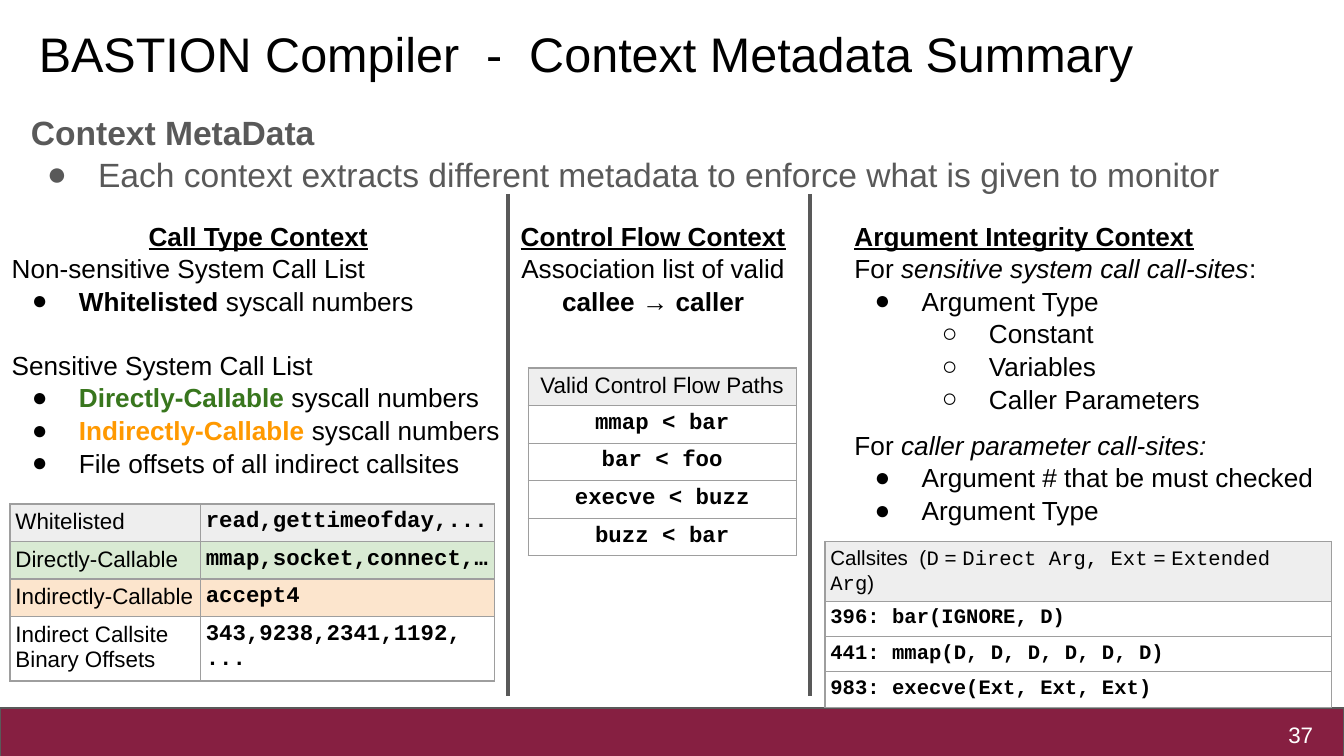
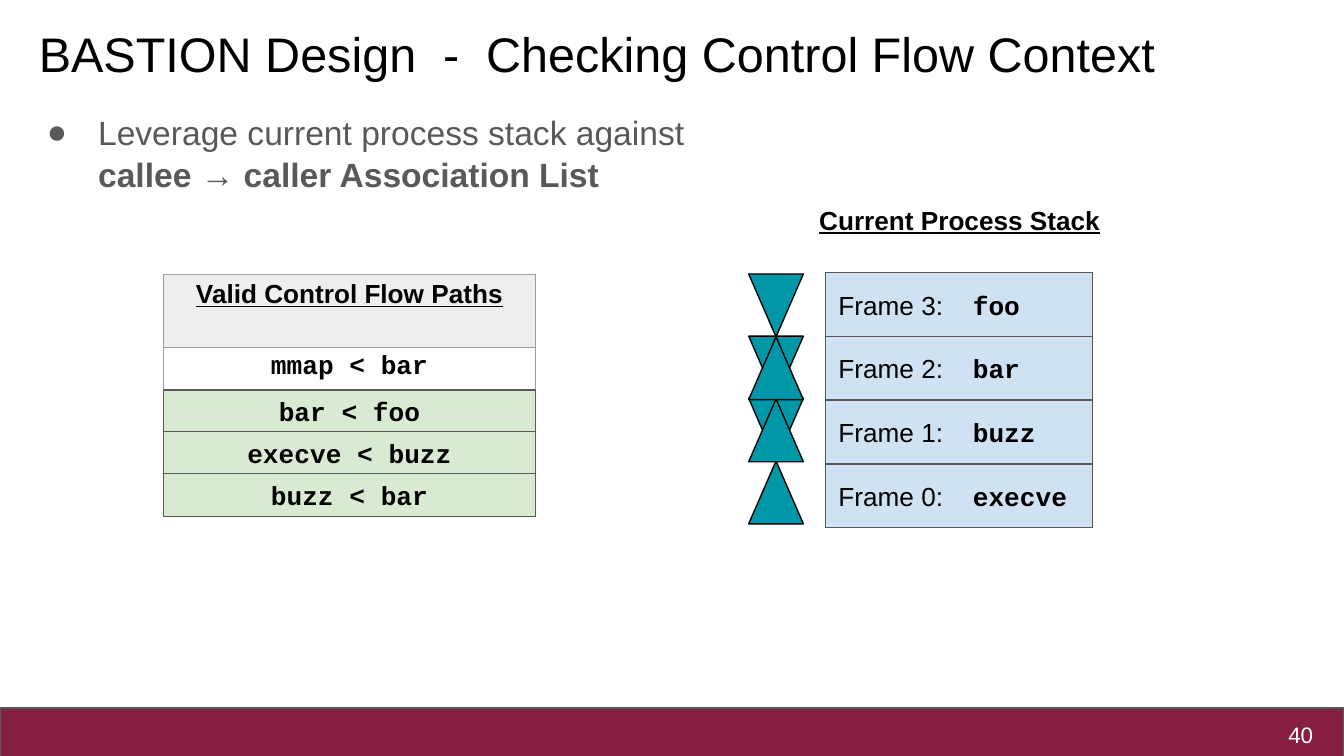
from collections import namedtuple
from lxml.etree import SubElement, fromstring
from pptx import Presentation
from pptx.dml.color import RGBColor
from pptx.enum.shapes import MSO_CONNECTOR, MSO_SHAPE
from pptx.enum.text import MSO_ANCHOR, PP_ALIGN
from pptx.oxml.ns import nsdecls, qn
from pptx.util import Pt

BLACK = RGBColor(0x00, 0x00, 0x00)
WHITE = RGBColor(0xFF, 0xFF, 0xFF)
GRAY = RGBColor(0x59, 0x59, 0x59)
RULE = RGBColor(0x9E, 0x9E, 0x9E)
HEAD = RGBColor(0xEE, 0xEE, 0xEE)
MAROON = RGBColor(0x86, 0x1F, 0x41)
GREEN = RGBColor(0x38, 0x76, 0x1D)
ORANGE = RGBColor(0xFF, 0x99, 0x00)
MINT = RGBColor(0xD9, 0xEA, 0xD3)
PEACH = RGBColor(0xFC, 0xE5, 0xCD)
SKY = RGBColor(0xCF, 0xE2, 0xF3)
TEAL = RGBColor(0x00, 0x97, 0xA7)
SANS, MONO = "Arial", "Courier New"
LEFT, MID, RIGHT = PP_ALIGN.LEFT, PP_ALIGN.CENTER, PP_ALIGN.RIGHT
PAD = (7.2,) * 4
TIGHT = (2.85,) * 4
PATHS = ("mmap < bar", "bar < foo", "execve < buzz", "buzz < bar")

Run = namedtuple("Run", "text marks color", defaults=("", None))
Line = namedtuple("Line", "runs align dot left hang gap", defaults=(LEFT, None, 0, 0, 0))


def line(text, marks="", align=LEFT, **rest):
    """Make a line of one style; marks are b, i, u and m for mono."""
    return Line([Run(text, marks)], align, **rest)


def item(*runs, dot="●", left=36, hang=25.2):
    """Make a bulleted line."""
    return Line(runs, dot=dot, left=left, hang=hang)


def style(font, marks):
    """Apply style marks to a font."""
    if "b" in marks:
        font.bold = True
    if "i" in marks:
        font.italic = True
    if "u" in marks:
        font.underline = True
    if "m" in marks:
        font.name = MONO


def bullet(props, row, color):
    """Write indent and bullet to paragraph properties."""
    props.set("marL", str(Pt(row.left)))
    props.set("indent", str(-Pt(row.hang)))
    if row.dot:
        tint = SubElement(props, qn("a:buClr"))
        SubElement(tint, qn("a:srgbClr")).set("val", str(color))
        SubElement(props, qn("a:buFont")).set("typeface", SANS)
        SubElement(props, qn("a:buChar")).set("char", row.dot)


def write(frame, rows, size, color=BLACK, pad=PAD, pitch=None, anchor=MSO_ANCHOR.TOP):
    """Fill a text frame with lines."""
    frame.word_wrap = True
    frame.vertical_anchor = anchor
    frame.margin_left, frame.margin_top, frame.margin_right, frame.margin_bottom = map(Pt, pad)
    for n, row in enumerate(rows):
        para = frame.paragraphs[0] if n == 0 else frame.add_paragraph()
        para.alignment = row.align
        if pitch:
            para.line_spacing = pitch
        if row.gap:
            para.space_before = Pt(row.gap)
        if row.left:
            bullet(para._p.get_or_add_pPr(), row, color)
        para.font.name, para.font.size = SANS, Pt(size)
        para.font.color.rgb = color
        same = len({run.marks for run in row.runs}) == 1
        if same:
            style(para.font, row.runs[0].marks)
        for run in row.runs:
            part = para.add_run()
            part.text = run.text
            if not same:
                style(part.font, run.marks)
            if run.color is not None:
                part.font.color.rgb = run.color


def label(slide, box, rows, size, **rest):
    """Add a text box."""
    write(slide.shapes.add_textbox(*map(Pt, box)).text_frame, rows, size, **rest)


def block(slide, box, fill, edge=GRAY, kind=MSO_SHAPE.RECTANGLE, rows=()):
    """Add an outlined shape with optional text."""
    shape = slide.shapes.add_shape(kind, *map(Pt, box))
    shape.shadow.inherit = False
    shape.fill.solid()
    shape.fill.fore_color.rgb = fill
    shape.line.color.rgb = edge
    shape.line.width = Pt(0.75)
    if rows:
        write(shape.text_frame, rows, 14, anchor=MSO_ANCHOR.MIDDLE)


def border(cell):
    """Draw a thin rule on all four sides of a cell."""
    props = cell._tc.get_or_add_tcPr()
    for n, side in enumerate("LRTB"):
        props.insert(n, fromstring(
            f'<a:ln{side} {nsdecls("a")} w="{Pt(0.75)}"><a:solidFill>'
            f'<a:srgbClr val="{RULE}"/></a:solidFill></a:ln{side}>'))


def grid(slide, spot, wide, tall, data, size):
    """Add a table; each data row is a fill and the lines of its cells."""
    table = slide.shapes.add_table(
        len(tall), len(wide), *map(Pt, (*spot, sum(wide), sum(tall)))).table
    table.first_row = table.horz_banding = False
    for col, width in zip(table.columns, wide):
        col.width = Pt(width)
    for row, high, (fill, cells) in zip(table.rows, tall, data):
        row.height = Pt(high)
        for cell, rows in zip(row.cells, cells):
            if fill is None:
                cell.fill.background()
            else:
                cell.fill.solid()
                cell.fill.fore_color.rgb = fill
            border(cell)
            write(cell.text_frame, rows, size, pad=TIGHT)
            cell.margin_left, cell.margin_top, cell.margin_right, cell.margin_bottom = map(Pt, TIGHT)


def paths(slide, spot, width, tall, size, marks=""):
    """Add the table of valid control flow paths."""
    data = [(HEAD, [[line("Valid Control Flow Paths", marks, MID)]])]
    data += [(None, [[line(text, "bm", MID)]]) for text in PATHS]
    grid(slide, spot, [width], tall, data, size)


def base(deck, title, page, body):
    """Add a slide with title, lead text, footer band and page number."""
    slide = deck.slides.add_slide(deck.slide_layouts[6])
    block(slide, (0, 379.4, 720, 26.6), MAROON)
    label(slide, (13.7, 5.8, 619, 45.4), [line(title)], 26)
    label(slide, (13.7, 56.9, 657.4, 53), body, 18, color=GRAY,
          pad=(2.9, 2.2, 2.2, 2.2), pitch=1.04)
    label(slide, (667.4, 380.2, 43.2, 26.6), [line(page, align=RIGHT)], 12,
          color=WHITE, anchor=MSO_ANCHOR.MIDDLE)
    return slide


def calls(slide, box):
    """Place the call type column."""
    x, y, w, h = box
    numbers = Run(" syscall numbers")
    label(slide, (x, y, w, 154), [
        line("Call Type Context", "bu", MID),
        line("Non-sensitive System Call List"),
        item(Run("Whitelisted", "b"), numbers),
        line("Sensitive System Call List", gap=16.8),
        item(Run("Directly-Callable", "b", GREEN), numbers),
        item(Run("Indirectly-Callable", "b", ORANGE), numbers),
        item(Run("File offsets of all indirect callsites")),
    ], 14, pad=(0, 7.2, 0, 7.2), pitch=1.04)
    data = [
        (HEAD, "Whitelisted", ["read,gettimeofday,..."]),
        (MINT, "Directly-Callable", ["mmap,socket,connect,…"]),
        (PEACH, "Indirectly-Callable", ["accept4"]),
        (WHITE, "Indirect Callsite Binary Offsets", ["343,9238,2341,1192,", "..."]),
    ]
    grid(slide, (x - 0.9, y + 160), (102, 157.7), [20.1] * 4,
         [(fill, [[line(name)], [line(text, "bm") for text in texts]])
          for fill, name, texts in data], 12)


def flow(slide, box):
    """Place the control flow column."""
    x, y, w, h = box
    label(slide, (x, y, w, 60.5), [
        line("Control Flow Context", "bu", MID),
        line("Association list of valid", align=MID),
        Line([Run("callee ", "b"), Run("→"), Run(" caller", "b")], MID),
    ], 14, pitch=1.04)
    paths(slide, (x + 12.3, y + 87.2), 143.5, [19] + [20.1] * 4, 12)


def args(slide, box):
    """Place the argument integrity column."""
    x, y, w, h = box
    kinds = ("Constant", "Variables", "Caller Parameters")
    label(slide, (x, y, w, 178), [
        line("Argument Integrity Context", "bu"),
        Line([Run("For "), Run("sensitive system call call-sites", "i"), Run(":")]),
        item(Run("Argument Type")),
        *[item(Run(kind), dot="○", left=72) for kind in kinds],
        Line([Run("For "), Run("caller parameter call-sites:", "i")], gap=7.3),
        item(Run("Argument # that be must checked")),
        item(Run("Argument Type")),
    ], 14, pitch=1.04)
    head = Line([Run("Callsites  ("), Run("D", "m"), Run(" = "), Run("Direct Arg, Ext", "m"),
                 Run(" = "), Run("Extended Arg", "m"), Run(")")])
    sites = ("396: bar(IGNORE, D)", "441: mmap(D, D, D, D, D, D)", "983: execve(Ext, Ext, Ext)")
    grid(slide, (x - 8.7, y + 180), [271.4], (16, 15, 15, 15),
         [(HEAD, [[head]])] + [(None, [[line(site, "bm")]]) for site in sites], 11)


def split(slide, x, top, end):
    """Draw an upright divider."""
    rule = slide.shapes.add_connector(MSO_CONNECTOR.STRAIGHT, Pt(x), Pt(top), Pt(x), Pt(end))
    rule.line.color.rgb = GRAY
    rule.line.width = Pt(2.25)
    SubElement(rule._element.spPr, qn("a:effectLst"))


def checks(slide, box):
    """Place the path table with its matched rows marked."""
    x, y, w, h = box
    paths(slide, (x, y), w, [39.3] + [22.4] * 4, 14, "bu")
    for n, text in enumerate(PATHS[1:]):
        block(slide, (x, y + 61.9 + 22.4 * n, w, 22.9), MINT, rows=[line(text, "bm", MID)])


def stack(slide, box):
    """Place the stack label, its frames and the scan marks."""
    x, y, w, h = box
    label(slide, (x - 19.4, y - 44, 182.9, 23), [line("Current Process Stack", "bu", MID)], 14)
    for n in reversed(range(3)):
        block(slide, (x - 41, y + 0.7 + 33.3 * n, 29.3, 67.3), TEAL, BLACK,
              MSO_SHAPE.FLOWCHART_COLLATE)
    step = h / 4
    for n, name in enumerate(("execve", "buzz", "bar", "foo")):
        block(slide, (x, y + step * (3 - n), w, step), SKY,
              rows=[Line([Run(f"Frame {n}:\t"), Run(name, "bm")])])


def main():
    """Build the deck."""
    deck = Presentation()
    deck.slide_width, deck.slide_height = Pt(720), Pt(405)
    slide = base(deck, "BASTION Compiler  -  Context Metadata Summary", "37", [
        line("Context MetaData", "b"),
        item(Run("Each context extracts different metadata to enforce what is given to monitor"),
             hang=27.4)])
    calls(slide, (6.3, 110, 264.2, 254))
    flow(slide, (270.7, 110, 158.4, 188))
    args(slide, (450.7, 110, 264.2, 268))
    for x in (272, 434):
        split(slide, x, 103.9, 372.8)
    slide = base(deck, "BASTION Design  -  Checking Control Flow Context", "40", [
        item(Run("Leverage current process stack against"), hang=27.4),
        line("callee → caller Association List", "b", left=36)])
    checks(slide, (87.6, 147, 199.4, 129.6))
    stack(slide, (442.1, 146.1, 143.3, 136.6))
    deck.save("out.pptx")


if __name__ == "__main__":
    main()
